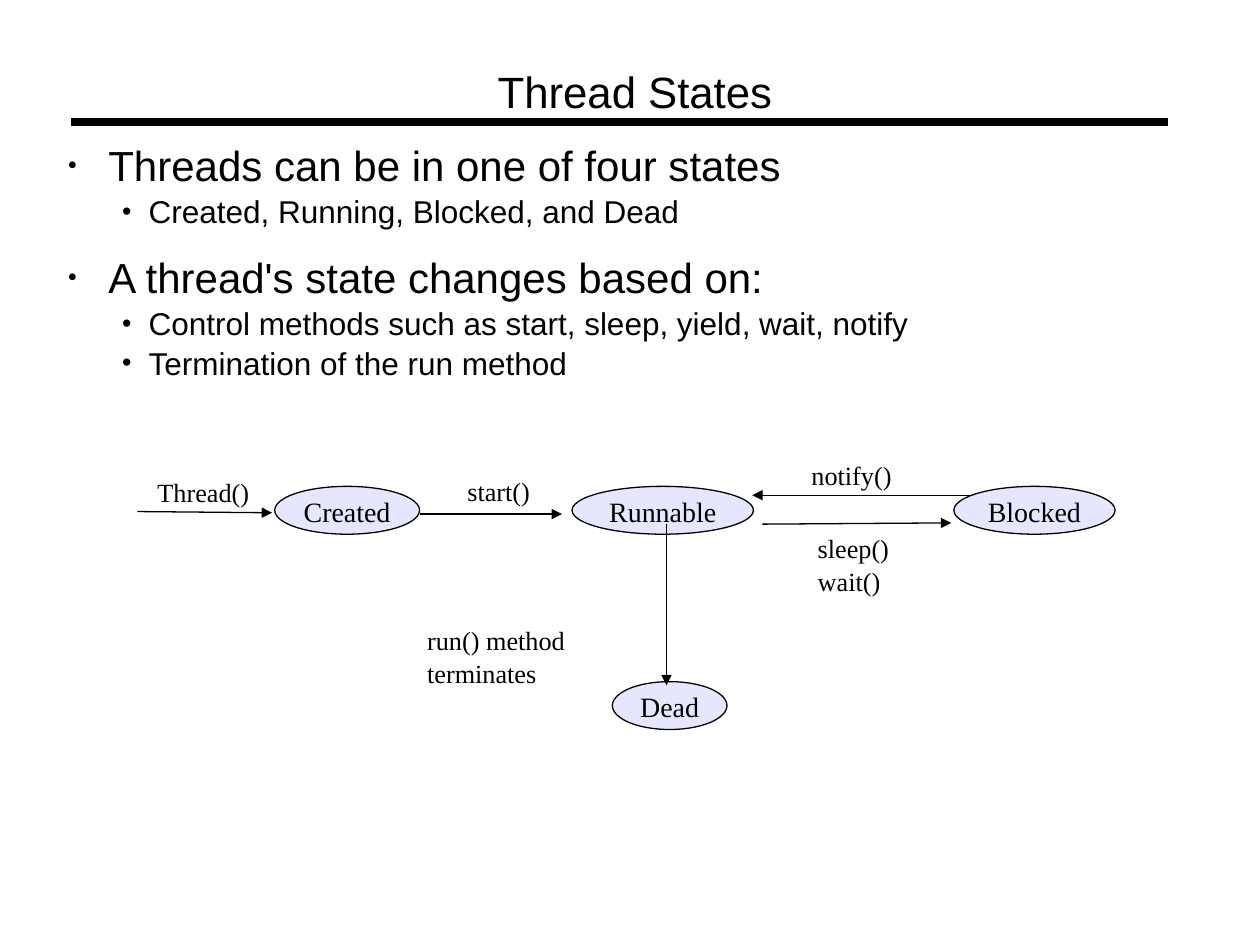
from pptx import Presentation
from pptx.dml.color import RGBColor
from pptx.enum.shapes import MSO_CONNECTOR, MSO_SHAPE
from pptx.enum.text import MSO_ANCHOR, PP_ALIGN
from pptx.oxml.ns import qn
from pptx.util import Inches, Pt
from lxml import etree

STRAIGHT = MSO_CONNECTOR.STRAIGHT
OVAL = MSO_SHAPE.OVAL
BLACK = RGBColor(0x00, 0x00, 0x00)
WHITE = RGBColor(0xFF, 0xFF, 0xFF)
LAVENDER = RGBColor(0xE6, 0xE6, 0xFF)
SANS, SERIF = "Arial", "Times New Roman"
LINE_SPACING = 1.05

TITLE = "Thread States"
TOPICS = [
    ("Threads can be in one of four states",
     ["Created, Running, Blocked, and Dead"]),
    ("A thread's state changes based on:",
     ["Control methods such as start, sleep, yield, wait, notify",
      "Termination of the run method"]),
]
# indent and hang in inches, bullet size in percent
TOPIC_STYLE = {"size": 24, "indent": 0.32, "hang": 0.32, "bullet": 59}
POINT_STYLE = {"size": 18, "indent": 0.64, "hang": 0.21, "bullet": 85}
TOPIC_GAP = Pt(11)

STATE_HEIGHT = 0.38
STATES = [  # name, left, top, width
    ("Created", 2.18, 3.86, 1.15),
    ("Runnable", 4.54, 3.86, 1.44),
    ("Blocked", 7.57, 3.86, 1.28),
    ("Dead", 4.86, 5.41, 0.91),
]
TRANSITIONS = [  # label lines, label left, top, width, arrow start, arrow end
    (["Thread()"], 1.25, 3.77, 0.73, (1.09, 4.06), (2.16, 4.07)),
    (["start()"], 3.71, 3.76, 0.5, (3.33, 4.08), (4.46, 4.08)),
    (["notify()"], 6.44, 3.63, 0.64, (7.71, 3.93), (5.97, 3.93)),
    (["sleep()", "wait()"], 6.49, 4.21, 0.57, (6.05, 4.16), (7.55, 4.15)),
    (["run() method terminates"], 3.39, 4.94, 2.01, (5.29, 4.16), (5.29, 5.44)),
]
LABEL_LINE_HEIGHT = 0.25


def clear_margins(frame):
    for side in ("left", "top", "right", "bottom"):
        setattr(frame, f"margin_{side}", 0)


def write(para, text, size, font):
    para.line_spacing = LINE_SPACING
    span = para.add_run()
    span.text = text
    formats = {"size": Pt(size), "name": font}
    for name, value in formats.items():
        setattr(span.font, name, value)
    span.font.color.rgb = BLACK


def add_text(page, lines, left, top, width, height, size, font, wrap=False):
    box = page.shapes.add_textbox(*map(Inches, (left, top, width, height)))
    frame = box.text_frame
    frame.word_wrap = wrap
    clear_margins(frame)
    for number, line in enumerate(lines):
        para = frame.add_paragraph() if number else frame.paragraphs[0]
        write(para, line, size, font)


def set_bullet(para, style):
    props = para._p.get_or_add_pPr()
    props.set("marL", str(Inches(style["indent"])))
    props.set("indent", str(-Inches(style["hang"])))
    etree.SubElement(props, qn("a:buSzPct"), val=str(style["bullet"] * 1000))
    etree.SubElement(props, qn("a:buFont"), typeface=SANS)
    etree.SubElement(props, qn("a:buChar"), char="•")


def add_topics(page):
    box = page.shapes.add_textbox(*map(Inches, (0.54, 1.09, 8.6, 2.15)))
    box.fill.solid()
    box.fill.fore_color.rgb = WHITE
    frame = box.text_frame
    frame.word_wrap = True
    clear_margins(frame)
    for number, (topic, points) in enumerate(TOPICS):
        para = frame.add_paragraph() if number else frame.paragraphs[0]
        set_bullet(para, TOPIC_STYLE)
        if number:
            para.space_before = TOPIC_GAP
        write(para, topic, TOPIC_STYLE["size"], SANS)
        for point in points:
            para = frame.add_paragraph()
            para.level = 1
            set_bullet(para, POINT_STYLE)
            write(para, point, POINT_STYLE["size"], SANS)


def add_state(page, name, left, top, width):
    state = page.shapes.add_shape(
        OVAL, *map(Inches, (left, top, width, STATE_HEIGHT)))
    state.shadow.inherit = False
    state.fill.solid()
    state.fill.fore_color.rgb = LAVENDER
    state.line.color.rgb = BLACK
    state.line.width = Pt(0.75)
    frame = state.text_frame
    frame.word_wrap = False
    frame.vertical_anchor = MSO_ANCHOR.MIDDLE
    clear_margins(frame)
    para = frame.paragraphs[0]
    para.alignment = PP_ALIGN.CENTER
    write(para, name, 16, SERIF)


def add_line(page, start, end, width=0.75, arrow=True):
    line = page.shapes.add_connector(STRAIGHT, *map(Inches, start + end))
    line.line.color.rgb = BLACK
    line.line.width = Pt(width)
    props = line._element.spPr
    if arrow:
        etree.SubElement(props.find(qn("a:ln")), qn("a:tailEnd"), type="triangle")
    etree.SubElement(props, qn("a:effectLst"))


def main():
    deck = Presentation()
    deck.slide_width, deck.slide_height = Inches(10), Inches(7.5)
    page = deck.slides.add_slide(deck.slide_layouts[6])

    add_line(page, (0.56, 0.97), (9.27, 0.97), width=4.31, arrow=False)
    add_topics(page)
    add_text(page, [TITLE], 3.95, 0.49, 4.23, 0.42, 25, SANS, wrap=True)
    for state in STATES:
        add_state(page, *state)
    for lines, left, top, width, start, end in TRANSITIONS:
        add_line(page, start, end)
        height = LABEL_LINE_HEIGHT * len(lines)
        add_text(page, lines, left, top, width, height, 15, SERIF)
    deck.save("out.pptx")


if __name__ == "__main__":
    main()
